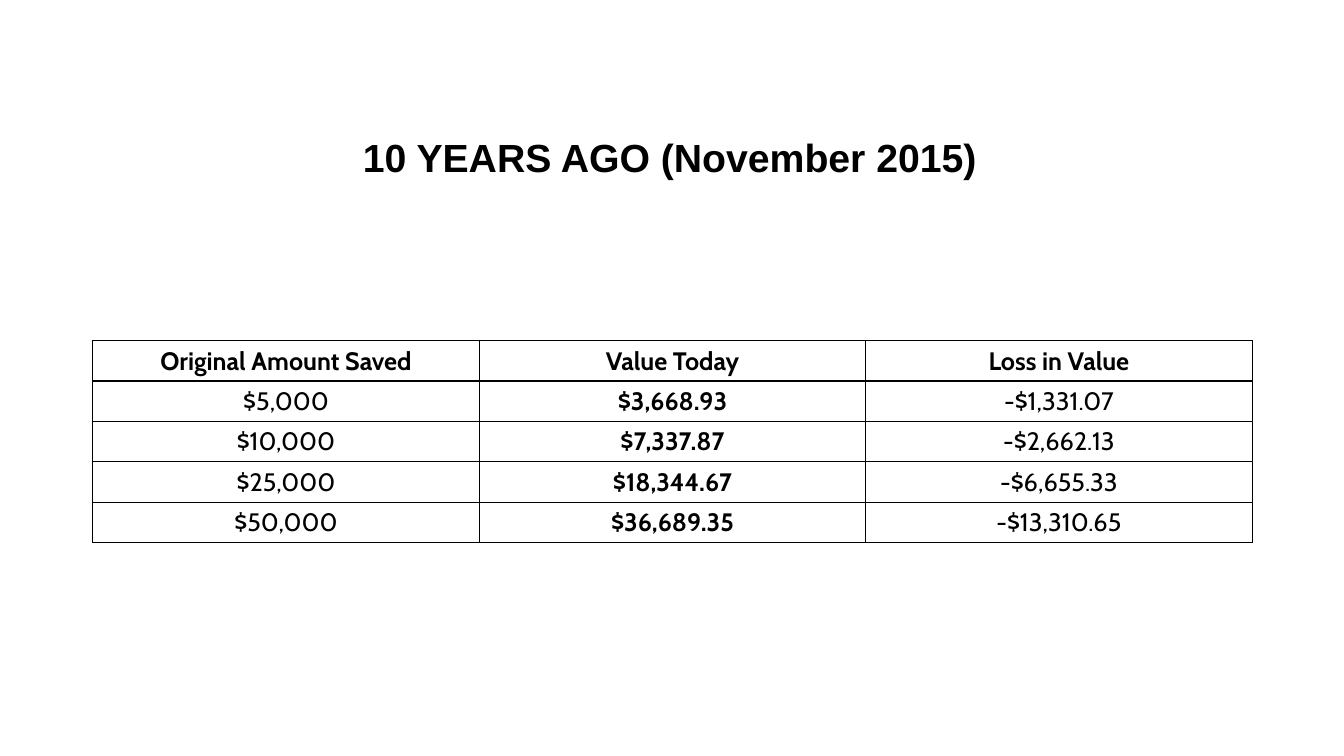
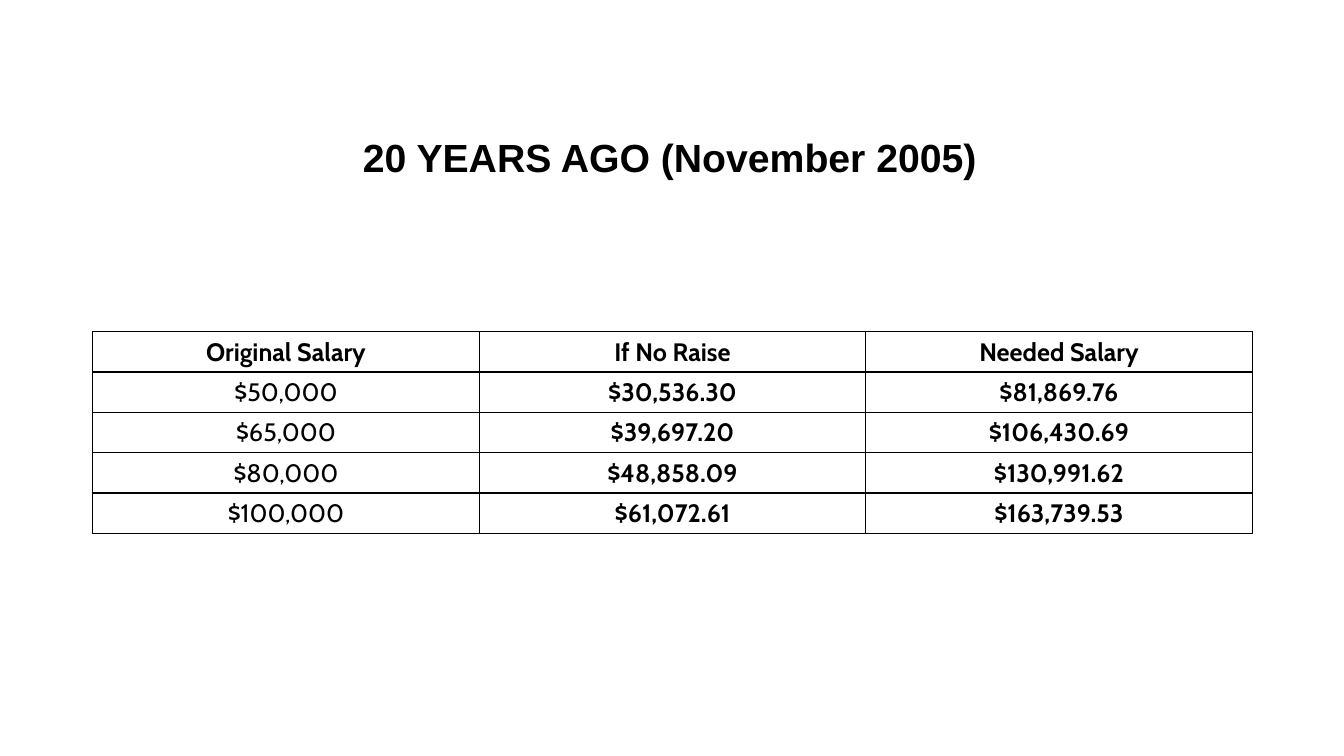
"""Build two slides that show how inflation erodes savings and salaries."""

from dataclasses import dataclass

from lxml.etree import SubElement
from pptx import Presentation
from pptx.dml.color import RGBColor
from pptx.enum.text import MSO_ANCHOR, MSO_AUTO_SIZE, PP_ALIGN
from pptx.oxml.ns import qn
from pptx.presentation import Presentation as Deck
from pptx.slide import Slide
from pptx.table import _Cell
from pptx.text.text import _Run
from pptx.util import Inches, Pt

BLACK = RGBColor(0x00, 0x00, 0x00)
TITLE_FONT = "Arial"
TABLE_FONT = "Cabin"
TABLE_LEFT = Inches(0.92)
TABLE_WIDTH = Inches(11.5)
ROW_HEIGHT = Inches(0.4)
BORDER_WIDTH = Pt(1)


@dataclass(frozen=True)
class TableSlide:
    title: str
    top: float
    rows: list[tuple[str, ...]]
    bold_columns: set[int]


SLIDES = [
    TableSlide(
        "10 YEARS AGO (November 2015)",
        3.38,
        [
            ("Original Amount Saved", "Value Today", "Loss in Value"),
            ("$5,000", "$3,668.93", "-$1,331.07"),
            ("$10,000", "$7,337.87", "-$2,662.13"),
            ("$25,000", "$18,344.67", "-$6,655.33"),
            ("$50,000", "$36,689.35", "-$13,310.65"),
        ],
        {1},
    ),
    TableSlide(
        "20 YEARS AGO (November 2005)",
        3.29,
        [
            ("Original Salary", "If No Raise", "Needed Salary"),
            ("$50,000", "$30,536.30", "$81,869.76"),
            ("$65,000", "$39,697.20", "$106,430.69"),
            ("$80,000", "$48,858.09", "$130,991.62"),
            ("$100,000", "$61,072.61", "$163,739.53"),
        ],
        {1, 2},
    ),
]


def format_run(r: _Run, font: str, size: int, bold: bool) -> None:
    r.font.name = font
    r.font.size = Pt(size)
    r.font.bold = bold
    r.font.color.rgb = BLACK


def add_title(s: Slide, text: str) -> None:
    sp = s.shapes.add_textbox(Inches(3.5), Inches(1.27), Inches(6.36), Inches(0.57))
    tf = sp.text_frame
    tf.word_wrap = False
    tf.auto_size = MSO_AUTO_SIZE.SHAPE_TO_FIT_TEXT
    tf.vertical_anchor = MSO_ANCHOR.MIDDLE
    tf.text = text
    format_run(tf.paragraphs[0].runs[0], TITLE_FONT, 28, True)


def add_borders(cell: _Cell) -> None:
    tc_pr = cell._tc.get_or_add_tcPr()
    for side in ("a:lnL", "a:lnR", "a:lnT", "a:lnB"):
        ln = SubElement(tc_pr, qn(side), w=str(BORDER_WIDTH))
        fill = SubElement(ln, qn("a:solidFill"))
        SubElement(fill, qn("a:srgbClr"), val=str(BLACK))


def fill_cell(cell: _Cell, text: str, bold: bool) -> None:
    add_borders(cell)
    cell.fill.background()
    cell.vertical_anchor = MSO_ANCHOR.MIDDLE
    cell.text_frame.text = text
    p = cell.text_frame.paragraphs[0]
    p.alignment = PP_ALIGN.CENTER
    format_run(p.runs[0], TABLE_FONT, 18, bold)


def add_value_table(s: Slide, data: TableSlide) -> None:
    n_rows, n_cols = len(data.rows), len(data.rows[0])
    table = s.shapes.add_table(
        n_rows, n_cols, TABLE_LEFT, Inches(data.top), TABLE_WIDTH, ROW_HEIGHT * n_rows
    ).table
    table.horz_banding = False
    for i, row in enumerate(data.rows):
        for j, text in enumerate(row):
            fill_cell(table.cell(i, j), text, i == 0 or j in data.bold_columns)


def add_slide(prs: Deck, data: TableSlide) -> None:
    s = prs.slides.add_slide(prs.slide_layouts[6])
    add_title(s, data.title)
    add_value_table(s, data)


def main() -> None:
    prs = Presentation()
    prs.slide_width = Inches(13.33)
    prs.slide_height = Inches(7.5)
    for data in SLIDES:
        add_slide(prs, data)
    prs.save("out.pptx")


if __name__ == "__main__":
    main()
